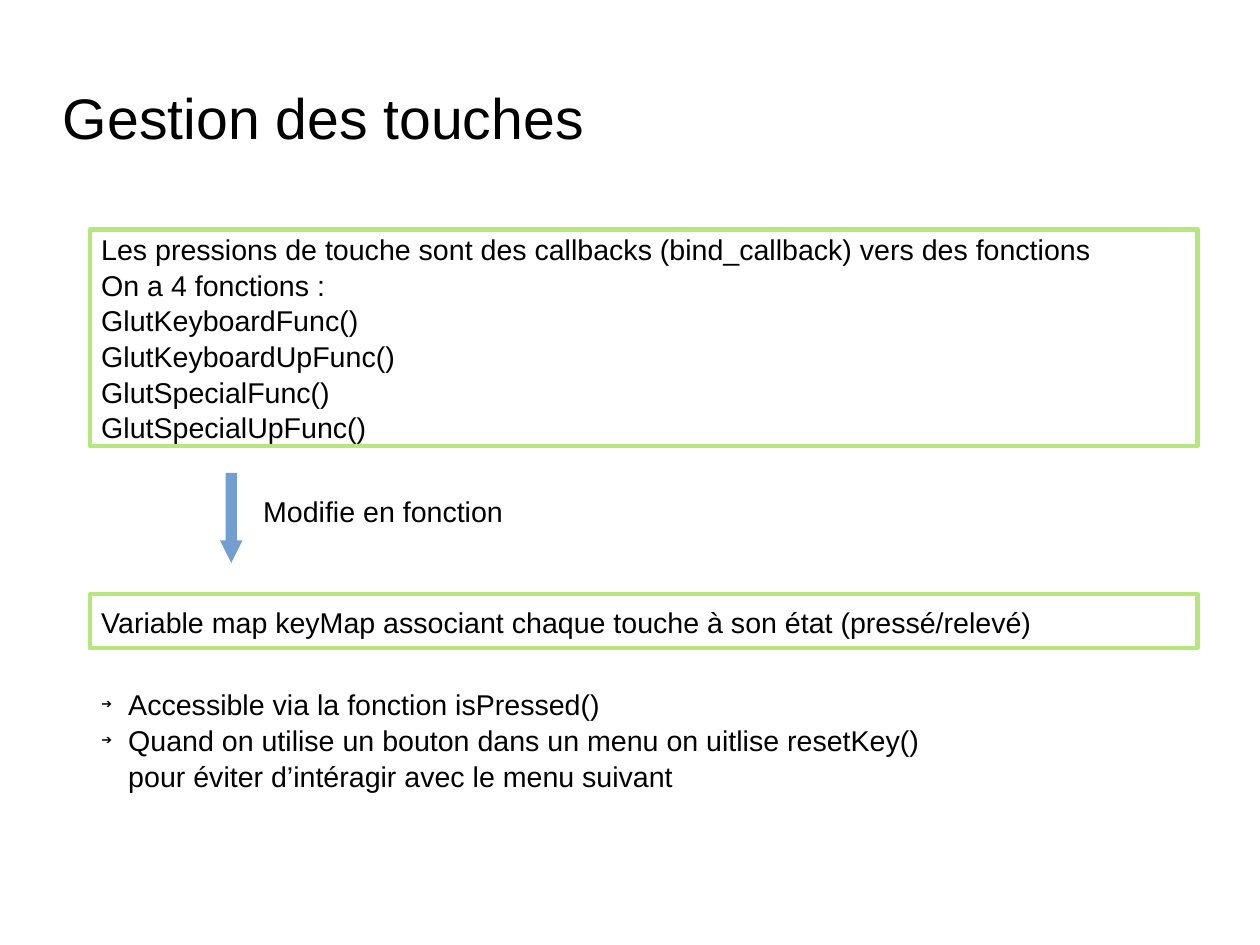
from lxml import etree
from pptx import Presentation
from pptx.dml.color import RGBColor
from pptx.enum.shapes import MSO_SHAPE
from pptx.enum.text import MSO_ANCHOR, PP_ALIGN
from pptx.oxml.ns import qn
from pptx.util import Cm, Pt

RECTANGLE, DOWN_ARROW = MSO_SHAPE.RECTANGLE, MSO_SHAPE.DOWN_ARROW
TOP, MIDDLE = MSO_ANCHOR.TOP, MSO_ANCHOR.MIDDLE
LEFT = PP_ALIGN.LEFT

TITLE = "Gestion des touches"
CALLBACKS = [
    "Les pressions de touche sont des callbacks (bind_callback) vers des fonctions",
    "On a 4 fonctions :",
    "GlutKeyboardFunc()",
    "GlutKeyboardUpFunc()",
    "GlutSpecialFunc()",
    "GlutSpecialUpFunc()",
]
ARROW_LABEL = "Modifie en fonction"
KEY_MAP = ["Variable map keyMap associant chaque touche à son état (pressé/relevé)"]
USAGE = [
    "Accessible via la fonction isPressed()",
    "Quand on utilise un bouton dans un menu on uitlise resetKey() "
    "pour éviter d’intéragir avec le menu suivant",
]

COLORS = {"text": "000000", "frame": "B5E77D", "arrow": "729FCF"}
FONT = "Arial"
MARGIN = 2
FRAME_WIDTH = 24.61
BULLET_INDENT = Cm(0.6)


def color(name):
    return RGBColor.from_string(COLORS[name])


def place(shape, left, top, width, height):
    shape.left, shape.top = Cm(left), Cm(top)
    shape.width, shape.height = Cm(width), Cm(height)


def write(shape, lines, anchor=TOP, size=18, inset=(0.25, 0.13), spacing=1.04):
    frame = shape.text_frame
    frame.word_wrap = True
    frame.vertical_anchor = anchor
    frame.margin_left = frame.margin_right = Cm(inset[0])
    frame.margin_top = frame.margin_bottom = Cm(inset[1])
    frame.text = "\n".join(lines)
    for para in frame.paragraphs:
        para.alignment = LEFT
        para.line_spacing = spacing
        para.space_before = Pt(0)
        para.font.name = FONT
        para.font.size = Pt(size)
        para.font.color.rgb = color("text")


def add_arrow_bullet(para):
    props = para._p.get_or_add_pPr()
    props.set("marL", str(BULLET_INDENT))
    props.set("indent", str(-BULLET_INDENT))
    bullet_color = etree.Element(qn("a:buClr"))
    etree.SubElement(bullet_color, qn("a:srgbClr"), val=COLORS["text"])
    bullet_size = etree.Element(qn("a:buSzPct"), val="45000")
    bullet_char = etree.Element(qn("a:buChar"), char="➔")
    defaults = props.find(qn("a:defRPr"))
    for part in (bullet_color, bullet_size, bullet_char):
        defaults.addprevious(part)


def add_frame(page, lines, top, height):
    box = page.shapes.add_shape(RECTANGLE, 0, 0, 0, 0)
    place(box, MARGIN, top, FRAME_WIDTH, height)
    box.shadow.inherit = False
    box.fill.background()
    box.line.color.rgb = color("frame")
    box.line.width = Pt(2.83)
    write(box, lines, MIDDLE)


def add_arrow(page):
    arrow = page.shapes.add_shape(DOWN_ARROW, 0, 0, 0, 0)
    place(arrow, 4.89, 10.51, 0.5, 2)
    arrow.adjustments[0], arrow.adjustments[1] = 0.5, 1
    arrow.shadow.inherit = False
    arrow.fill.solid()
    arrow.fill.fore_color.rgb = color("arrow")
    arrow.line.fill.background()


def main():
    deck = Presentation()
    deck.slide_width, deck.slide_height = Cm(28), Cm(21)
    page = deck.slides.add_slide(deck.slide_layouts[1])
    title, usage = page.placeholders

    place(title, 1.4, 1.6, 20, 2)
    write(title, [TITLE], MIDDLE, size=36, inset=(0, 0), spacing=1)

    place(usage, MARGIN, 15.11, 19, 3.1)
    write(usage, USAGE)
    for para in usage.text_frame.paragraphs:
        add_arrow_bullet(para)

    add_frame(page, CALLBACKS, top=5.1, height=4.81)
    add_arrow(page)
    label = page.shapes.add_textbox(0, 0, 0, 0)
    place(label, 5.6, 10.82, 6.4, 1.68)
    write(label, [ARROW_LABEL])
    add_frame(page, KEY_MAP, top=13.2, height=1.2)

    deck.save("out.pptx")


if __name__ == "__main__":
    main()
